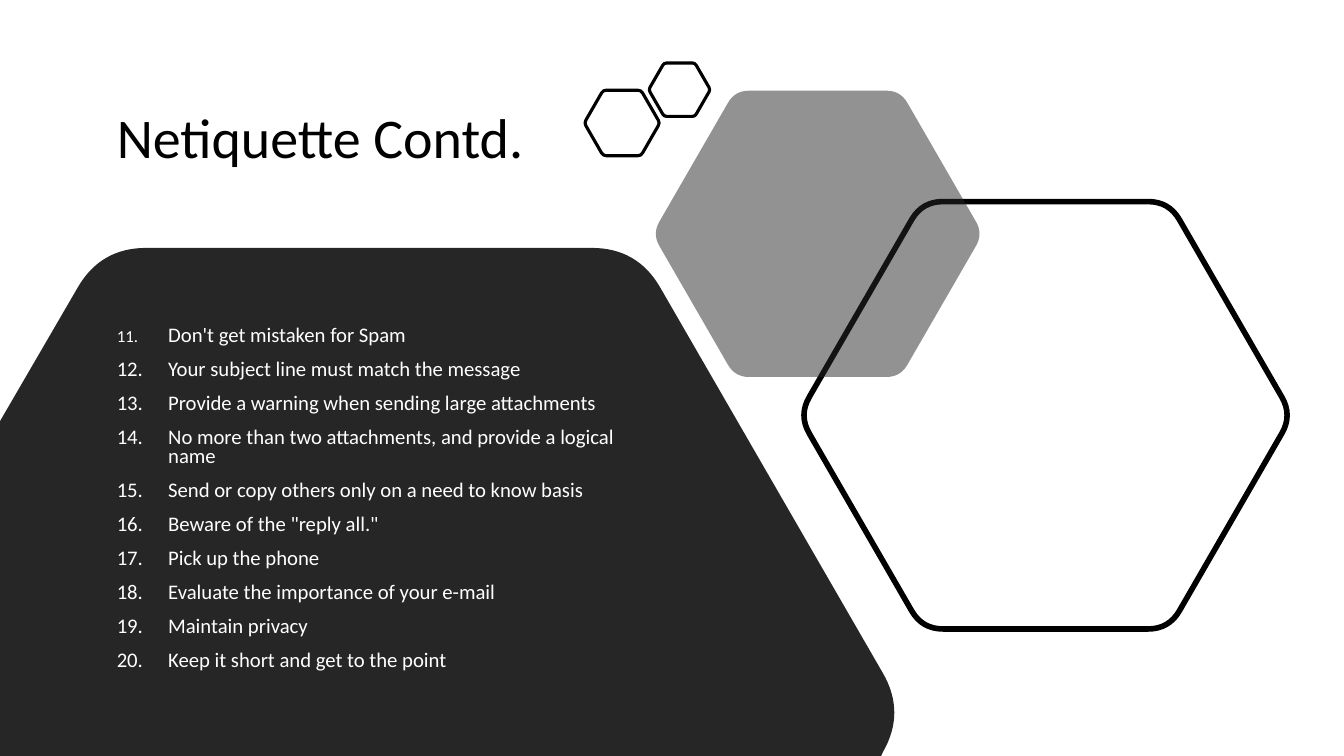
from math import cos, radians, sin, sqrt

from lxml import etree
from pptx import Presentation
from pptx.dml.color import RGBColor
from pptx.enum.text import MSO_ANCHOR
from pptx.oxml.ns import qn
from pptx.util import Inches, Pt

MIDDLE, TOP = MSO_ANCHOR.MIDDLE, MSO_ANCHOR.TOP
BLACK, WHITE, DARK = "000000", "FFFFFF", "262626"
FONT = "Calibri"
W, H = 13.33, 7.5
LEFT = 1.06  # shared left edge of both texts
ROUNDING = 0.085  # share of a hexagon's side cut off at each corner


def rgb(color):
    return RGBColor.from_string(color)


def hexagon(cx, cy, height):
    """Flat-topped hexagon from the left tip: four curve points per rounded corner."""
    side = height / sqrt(3)
    corners = [(cx + side * cos(radians(a)), cy + side * sin(radians(a)))
               for a in range(180, 540, 60)]
    points = []
    for i, (x, y) in enumerate(corners):
        before, after = corners[i - 1], corners[(i + 1) % 6]
        for (nx, ny), share in ((before, 1), (before, 1 / 3), (after, 1 / 3), (after, 1)):
            cut = ROUNDING * share
            points.append((x + cut * (nx - x), y + cut * (ny - y)))
    return points


prs = Presentation()
prs.slide_width, prs.slide_height = Inches(W), Inches(H)
s = prs.slides.add_slide(prs.slide_layouts[6])

# Dark panel: a hexagon that runs off the left and bottom edges of the slide
panel = [(x, y) for x, y in hexagon(3.66, 7.07, 9.22) if x >= 0 and y <= H]
panel += [(8.74, H), (0, H), (0, 4.18)]

# Hexagons from back to front: outline, fill, opacity %, line width
hexagons = [
    (panel, DARK, 100, None),
    (hexagon(10.37, 4.12, 4.24), None, None, 4),
    (hexagon(8.11, 2.32, 2.84), DARK, 50, None),
    (hexagon(6.17, 1.22, 0.65), None, None, 2.25),
    (hexagon(6.74, 0.89, 0.53), None, None, 2.25),
]
for outline, fill, opacity, line in hexagons:
    points = [(Inches(x), Inches(y)) for x, y in outline]
    builder = s.shapes.build_freeform(*points[0])
    builder.add_line_segments(points[1:], close=True)
    sp = builder.convert_to_shape()
    sp.shadow.inherit = False

    # Turn the three segments of each corner into one curve
    segments = sp._element.findall(".//" + qn("a:lnTo"))
    for k in range(0, len(points) // 4 * 4, 4):
        curve = segments[k]
        curve.tag = qn("a:cubicBezTo")
        for segment in segments[k + 1:k + 3]:
            curve.append(segment[0])
            segment.getparent().remove(segment)

    if fill:
        sp.fill.solid()
        sp.fill.fore_color.rgb = rgb(fill)
        if opacity < 100:
            clr = sp.fill._xPr.find(".//" + qn("a:srgbClr"))
            etree.SubElement(clr, qn("a:alpha"), val=str(opacity * 1000))
    else:
        sp.fill.background()
    if line:
        sp.line.color.rgb = rgb(BLACK)
        sp.line.width = Pt(line)
    else:
        sp.line.fill.background()

# Texts: each paragraph is a list of runs (text, size)
rules = [
    "Don't get mistaken for Spam",
    "Your subject line must match the message",
    "Provide a warning when sending large attachments",
    "No more than two attachments, and provide a logical name",
    "Send or copy others only on a need to know basis",
    "Beware of the \"reply all.\"",
    "Pick up the phone",
    "Evaluate the importance of your e-mail",
    "Maintain privacy",
    "Keep it short and get to the point",
]
items = [[(f"{n}.\t{rule}", 14.8)] for n, rule in enumerate(rules, 11)]
items[0] = [("11.\t", 12), (rules[0], 14.8)]
texts = [
    ((0.49, 4.68, 1.8), MIDDLE, BLACK, 0.9, 0, [[("Netiquette Contd.", 40)]]),
    ((3.19, 5.19, 3.82), TOP, WHITE, 0.8, 0.51, items),
]
for (top, width, height), anchor, color, spacing, indent, paragraphs in texts:
    box = s.shapes.add_textbox(Inches(LEFT), Inches(top), Inches(width), Inches(height))
    tf = box.text_frame
    tf.word_wrap = True
    tf.vertical_anchor = anchor
    for i, runs in enumerate(paragraphs):
        p = tf.paragraphs[0] if i == 0 else tf.add_paragraph()
        p.line_spacing = spacing
        p.space_before = Pt(10 if i else 0)
        if indent:
            pPr = p._p.get_or_add_pPr()
            pPr.set("marL", str(Inches(indent)))
            pPr.set("indent", str(-Inches(indent)))
        for text, size in runs:
            r = p.add_run()
            r.text = text
            r.font.name = FONT
            r.font.size = Pt(size)
            r.font.color.rgb = rgb(color)

prs.save("out.pptx")
